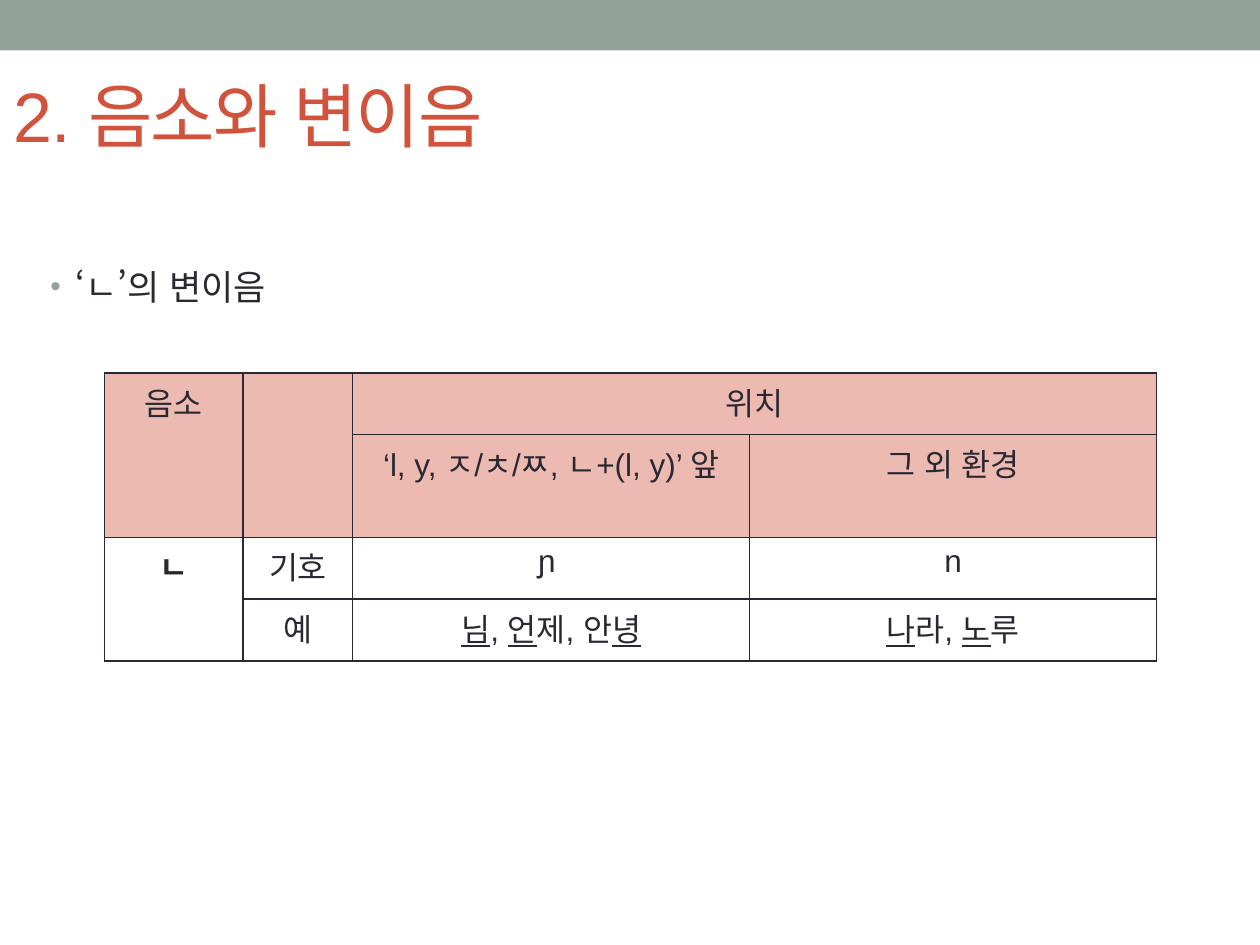
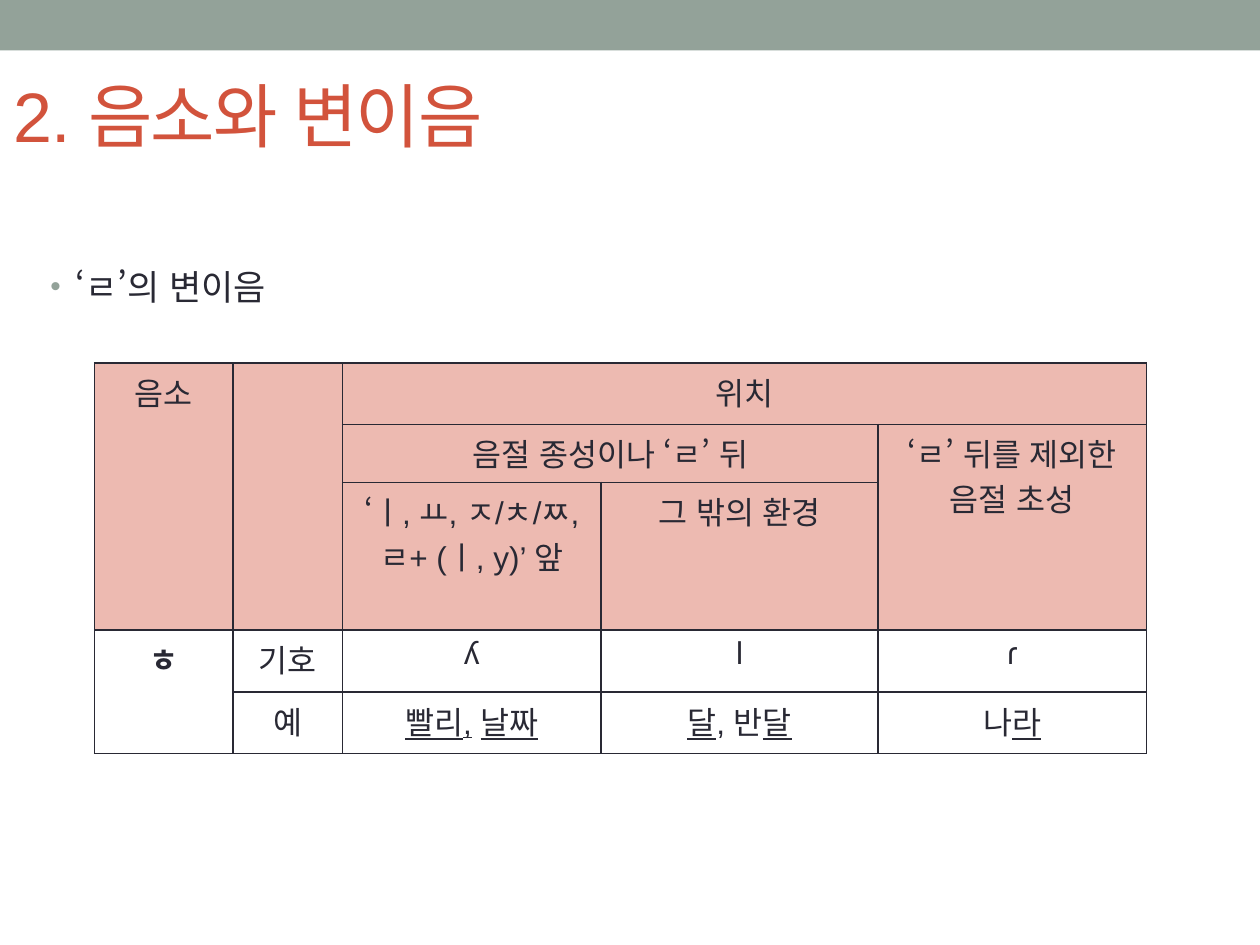
from lxml import etree
from pptx import Presentation
from pptx.dml.color import RGBColor
from pptx.enum.lang import MSO_LANGUAGE_ID as LANG
from pptx.enum.shapes import MSO_SHAPE as SHAPE
from pptx.enum.text import MSO_ANCHOR as ANCHOR, MSO_AUTO_SIZE as AUTO, PP_ALIGN as ALIGN
from pptx.oxml.ns import qn
from pptx.util import Inches, Pt

WIDTH, HEIGHT = 10, 7.5
FONT = "Arial"
SAGE, RED, INK, PINK = "93A299", "D2533C", "292934", "EDBAB1"
TITLE = "2. 음소와 변이음"
LEADING = 1.43  # line height of Hangul text, as a share of its size

# Boxes: left, top, width, height in inches
BAND_BOX = (0, 0, WIDTH, 0.4)
TITLE_BOX = (0.01, 0.37, 0.9 * WIDTH, 1.08)
BODY_BOX = (0, 1.62, WIDTH, 5.75)
LABEL_COLS = [1.1, 0.87]
ROW = 0.49


def rgb(color):
    return RGBColor.from_string(color)


def add_xml(parent, tag, **attrs):
    return etree.SubElement(parent, qn(tag), {k: str(v) for k, v in attrs.items()})


def place(sp, box):
    sp.left, sp.top, sp.width, sp.height = (Inches(v) for v in box)


def add_run(p, text, size, color=INK, bold=False, underline=False):
    r = p.add_run()
    r.text = text
    font = r.font
    font.name, font.size, font.bold = FONT, Pt(size), bold
    font.underline = underline
    font.color.rgb = rgb(color)
    font.language_id = LANG.KOREAN
    return r


def add_band(slide):
    sp = slide.shapes.add_shape(SHAPE.RECTANGLE, *(Inches(v) for v in BAND_BOX))
    sp.shadow.inherit = False
    sp.fill.solid()
    sp.fill.fore_color.rgb = rgb(SAGE)
    sp.line.fill.background()


def fill_title(sp):
    place(sp, TITLE_BOX)
    tf = sp.text_frame
    tf.auto_size = AUTO.NONE
    tf.vertical_anchor = ANCHOR.MIDDLE
    p = tf.paragraphs[0]
    p.alignment = ALIGN.LEFT
    rPr = add_run(p, TITLE, 40, RED)._r.get_or_add_rPr()
    rPr.set("spc", "-100")
    add_xml(rPr, "a:ea", typeface=FONT)


def fill_body(sp, text):
    place(sp, BODY_BOX)
    tf = sp.text_frame
    tf.auto_size = AUTO.NONE
    tf.margin_top = Inches(0.42)
    p = tf.paragraphs[0]
    p.level = 1
    p.space_before = Pt(0)
    p.line_spacing = Pt(20 * LEADING)
    add_run(p, text, 20)
    # Bullet
    pPr = p._p.get_or_add_pPr()
    pPr.set("marL", str(Inches(0.5)))
    pPr.set("indent", str(Inches(-0.2)))
    add_xml(add_xml(pPr, "a:buClr"), "a:srgbClr", val=SAGE)
    add_xml(pPr, "a:buSzPct", val=85000)
    add_xml(pPr, "a:buFont", typeface=FONT)
    add_xml(pPr, "a:buChar", char="•")


def style_cell(cell, header):
    tcPr = cell._tc.get_or_add_tcPr()
    for side in ("a:lnL", "a:lnR", "a:lnT", "a:lnB"):
        ln = add_xml(tcPr, side, w=Pt(1))
        add_xml(add_xml(ln, "a:solidFill"), "a:srgbClr", val=INK)
    if header:
        cell.fill.solid()
        cell.fill.fore_color.rgb = rgb(PINK)
    else:
        cell.fill.background()


def write_cell(cell, text, bold):
    """Underscores enclose the underlined syllables."""
    tf = cell.text_frame
    for i, line in enumerate(text.split("\n")):
        p = tf.add_paragraph() if i else tf.paragraphs[0]
        p.alignment = ALIGN.CENTER
        if any(ch >= "ㄱ" for ch in line):
            p.line_spacing = Pt(18 * LEADING)
        for j, part in enumerate(line.split("_")):
            if part:
                add_run(p, part, 18, bold=bold, underline=j % 2 == 1)


def add_allophones(slide, left, top, place_cols, heights, cells, merges):
    cols = LABEL_COLS + place_cols
    frame = slide.shapes.add_table(
        len(heights), len(cols), Inches(left), Inches(top),
        Inches(sum(cols)), Inches(sum(heights)))
    table = frame.table
    table.first_row = table.horz_banding = False
    for col, width in zip(table.columns, cols):
        col.width = Inches(width)
    for row, height in zip(table.rows, heights):
        row.height = Inches(height)

    # The last two rows hold the symbols and the examples
    first_data = len(heights) - 2
    for i, row in enumerate(cells):
        for j, text in enumerate(row):
            cell = table.cell(i, j)
            style_cell(cell, i < first_data)
            if text:
                write_cell(cell, text, bold=i == first_data and j == 0)

    label_merges = [(0, 0, first_data - 1, 0), (0, 1, first_data - 1, 1),
                    (first_data, 0, first_data + 1, 0),
                    (0, 2, 0, len(cols) - 1)]
    for r1, c1, r2, c2 in label_merges + merges:
        table.cell(r1, c1).merge(table.cell(r2, c2))


def add_phoneme_slide(prs, heading, **table):
    slide = prs.slides.add_slide(prs.slide_layouts[1])
    add_band(slide)
    fill_title(slide.shapes.title)
    fill_body(slide.placeholders[1], heading)
    add_allophones(slide, **table)


def main():
    prs = Presentation()
    prs.slide_width, prs.slide_height = Inches(WIDTH), Inches(HEIGHT)

    add_phoneme_slide(
        prs, "‘ㄴ’의 변이음", left=0.83, top=2.96,
        place_cols=[3.15, 3.23], heights=[ROW] * 4, merges=[],
        cells=[
            ["음소", "", "위치", ""],
            ["", "", "‘l, y, ㅈ/ㅊ/ㅉ, ㄴ+(l, y)’ 앞", "그 외 환경"],
            ["ㄴ", "기호", "ɲ ", "n"],
            ["", "예", "_님_, _언_제, 안_녕_", "_나_라, _노_루"],
        ])

    add_phoneme_slide(
        prs, "‘ㄹ’의 변이음", left=0.75, top=2.88,
        place_cols=[2.05, 2.2, 2.13],
        heights=[ROW, ROW / 2, ROW / 2, ROW, ROW],
        merges=[(1, 2, 1, 3), (1, 4, 2, 4)],
        cells=[
            ["음소", "", "위치", "", ""],
            ["", "", "음절 종성이나 ‘ㄹ’ 뒤", "", "‘ㄹ’ 뒤를 제외한 음절 초성"],
            ["", "", "‘ㅣ, ㅛ, ㅈ/ㅊ/ㅉ,\nㄹ+ (ㅣ, y)’ 앞", "그 밖의 환경", ""],
            ["ㅎ", "기호", "ʎ", "l", "ɾ"],
            ["", "예", "_빨리,_ _날짜_", "_달_, 반_달_", "나_라_"],
        ])

    prs.save("out.pptx")


if __name__ == "__main__":
    main()
